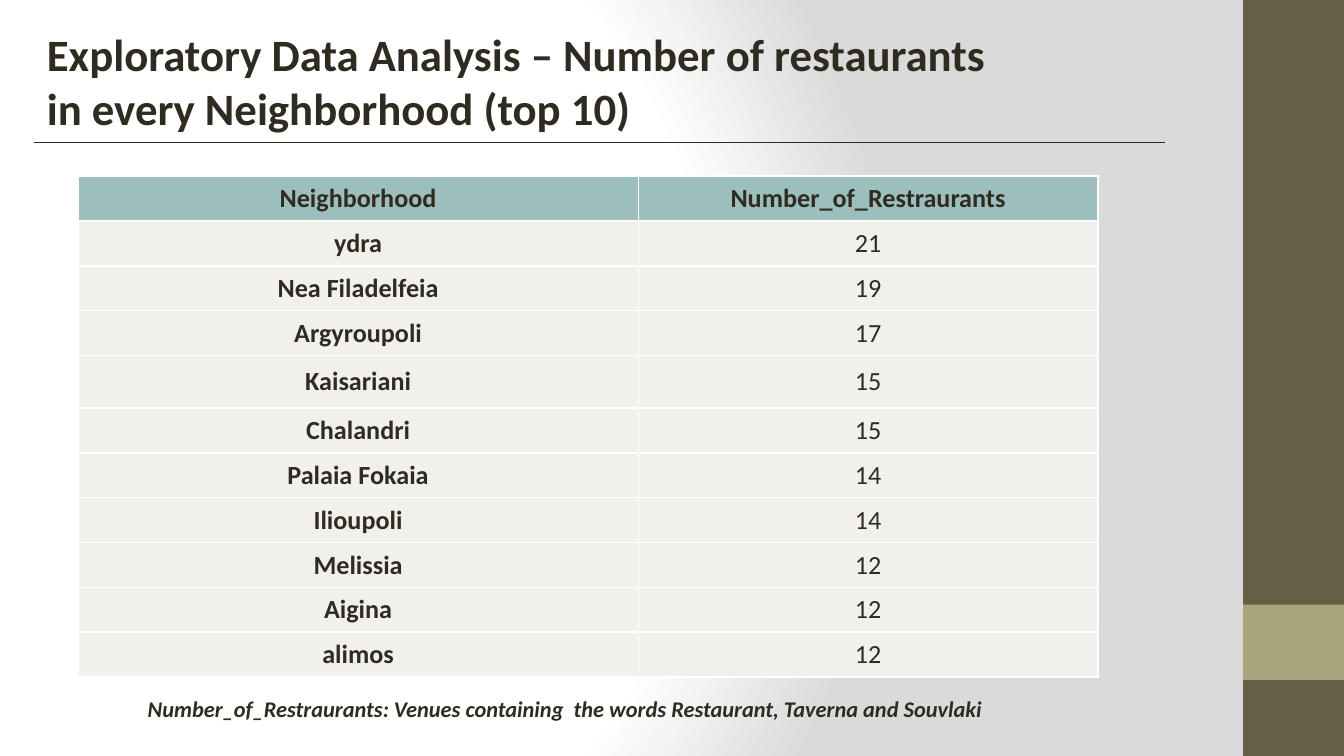
import pptx
import pptx.util
import pptx.dml.color
import pptx.enum.shapes
import pptx.enum.text
import pptx.oxml
import pptx.oxml.ns

Inches = pptx.util.Inches
INK = "2F2B20"
NS = pptx.oxml.ns.nsdecls("a")


def color(value):
    return pptx.dml.color.RGBColor.from_string(value)


def add_span(para, text, size, bold=True, italic=False):
    span = para.add_run()
    span.text = text
    span.font.name = "Calibri"
    span.font.size = pptx.util.Pt(size)
    span.font.bold = bold
    span.font.italic = italic
    span.font.color.rgb = color(INK)


deck = pptx.Presentation()
deck.slide_width = Inches(10)
deck.slide_height = Inches(10) * 9 // 16
page = deck.slides.add_slide(deck.slide_layouts[6])

page.background.fill.solid()
background = page._element.cSld.bg.bgPr
stops = "".join(
    f'<a:gs pos="{position * 1000}"><a:srgbClr val="{value}"/></a:gs>'
    for position, value in [(0, "FFFFFF"), (75, "FFFFFF"), (100, "DADADA")]
)
gradient = pptx.oxml.parse_xml(
    f'<a:gradFill {NS} rotWithShape="1"><a:gsLst>{stops}</a:gsLst><a:path path="circle">'
    '<a:fillToRect l="20000" t="50000" r="100000" b="50000"/></a:path></a:gradFill>'
)
background.replace(background[0], gradient)

for top, height, fill in [
    (0, deck.slide_height, "675E47"),
    (Inches(4.5), Inches(0.56), "A9A57C"),
]:
    band = page.shapes.add_shape(
        pptx.enum.shapes.MSO_SHAPE.RECTANGLE, Inches(9.25), top, Inches(0.75), height
    )
    band.shadow.inherit = False
    band.fill.solid()
    band.fill.fore_color.rgb = color(fill)
    band.line.fill.background()

rule = page.shapes.add_connector(
    pptx.enum.shapes.MSO_CONNECTOR.STRAIGHT,
    Inches(0.25), Inches(1.06), Inches(8.67), Inches(1.06),
)
rule.line.color.rgb = color(INK)
rule.line.width = pptx.util.Pt(1)
rule._element.spPr.append(pptx.oxml.parse_xml(f"<a:effectLst {NS}/>"))

title = page.shapes.add_textbox(Inches(0.25), Inches(0.15), Inches(7.42), Inches(0.91))
title.text_frame.word_wrap = True
title.text_frame.auto_size = pptx.enum.text.MSO_AUTO_SIZE.SHAPE_TO_FIT_TEXT
add_span(
    title.text_frame.paragraphs[0],
    "Exploratory Data Analysis – Number of restaurants in every Neighborhood (top 10)",
    24,
)

rows = [
    ("Neighborhood", "Number_of_Restraurants"),
    ("ydra", "21"),
    ("Nea Filadelfeia", "19"),
    ("Argyroupoli", "17"),
    ("Kaisariani", "15"),
    ("Chalandri", "15"),
    ("Palaia Fokaia", "14"),
    ("Ilioupoli", "14"),
    ("Melissia", "12"),
    ("Aigina", "12"),
    ("alimos", "12"),
]
table = page.shapes.add_table(
    len(rows), 2, Inches(0.58), Inches(1.31), Inches(7.58), Inches(3.72)
).table
table.columns[0].width = Inches(4.17)
table.columns[1].width = Inches(3.42)
row_heights = {0: 0.33, 4: 0.39}
for row, values in enumerate(rows):
    table.rows[row].height = Inches(row_heights.get(row, 0.28))
    for column, value in enumerate(values):
        cell = table.cell(row, column)
        cell.vertical_anchor = pptx.enum.text.MSO_ANCHOR.MIDDLE
        para = cell.text_frame.paragraphs[0]
        para.alignment = pptx.enum.text.PP_ALIGN.CENTER
        add_span(para, value, 14, bold=row == 0 or column == 0)
        cell.fill.solid()
        cell.fill.fore_color.rgb = color("9CBEBD" if row == 0 else "F1F0EC")
        properties = cell._tc.get_or_add_tcPr()
        for index, side in enumerate(["lnL", "lnR", "lnT", "lnB"]):
            properties.insert(index, pptx.oxml.parse_xml(
                f'<a:{side} {NS} w="12700"><a:solidFill><a:srgbClr val="FFFFFF"/>'
                f"</a:solidFill></a:{side}>"
            ))

note = page.shapes.add_textbox(Inches(1), Inches(5.12), Inches(6.51), Inches(0.3))
note.text_frame.word_wrap = False
note.text_frame.auto_size = pptx.enum.text.MSO_AUTO_SIZE.SHAPE_TO_FIT_TEXT
add_span(
    note.text_frame.paragraphs[0],
    "Number_of_Restraurants: Venues containing  the words Restaurant, Taverna and Souvlaki",
    12,
    italic=True,
)

deck.save("out.pptx")
